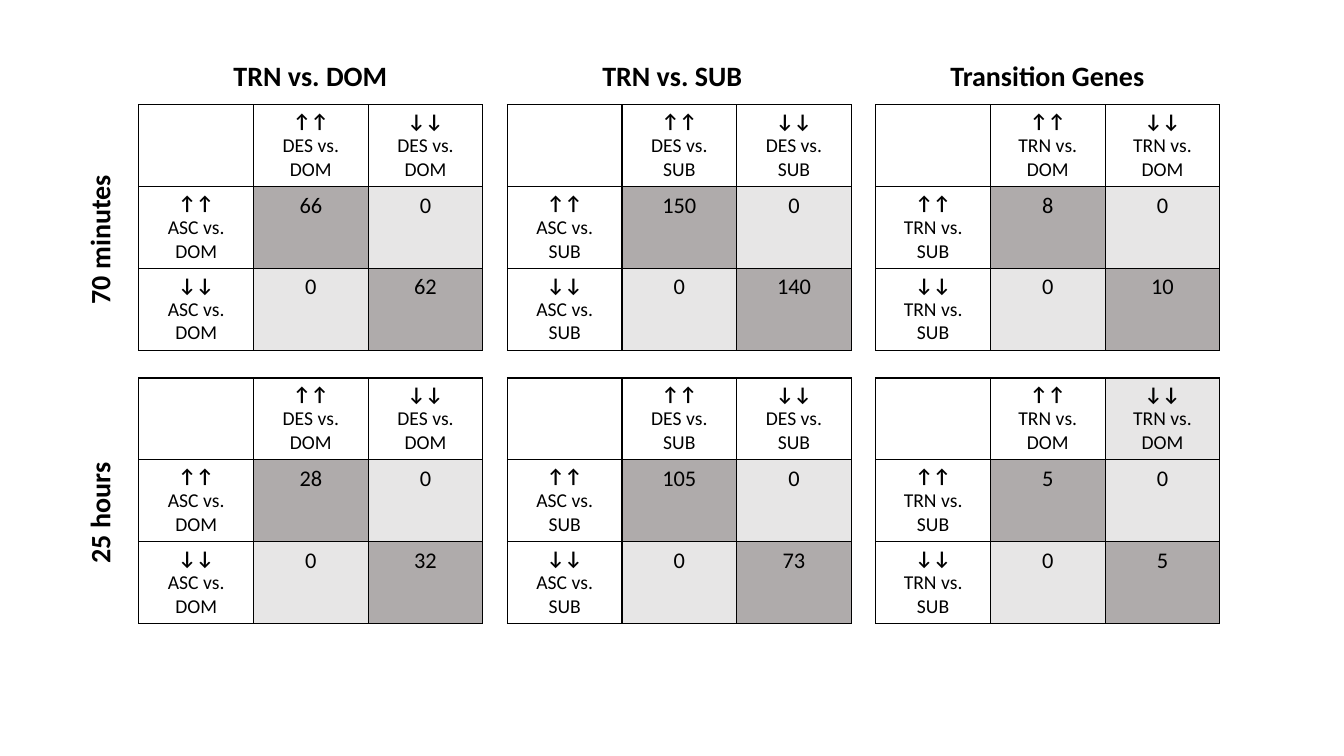
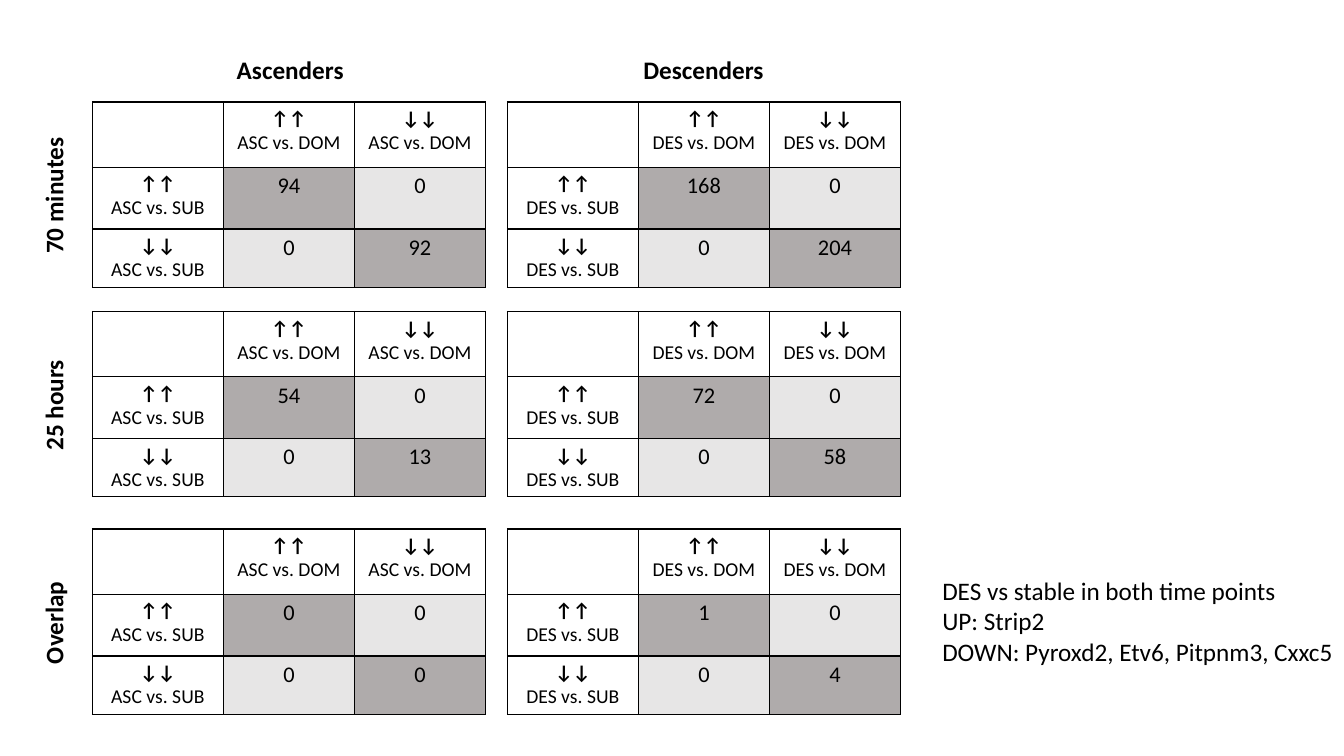
from dataclasses import dataclass

import pptx
import pptx.dml.color
import pptx.enum.text
import pptx.oxml
import pptx.oxml.ns
import pptx.util
from pptx.util import Pt

ALIGN = pptx.enum.text.PP_ALIGN

# Shared look
FONT = "Calibri"
BLACK = "000000"
WHITE = "FFFFFF"
AGREE = "AFABAB"
DISAGREE = "E7E6E6"
UP, DOWN = "↑↑", "↓↓"
HEADING_WIDTH = 188.6
ROW_LABEL_HEIGHT = 122.4


@dataclass(frozen=True)
class Comparison:
    """One column of tables: its heading and the two contrasts crossed in it."""
    heading: str
    left: float
    heading_left: float
    across: str
    down: str


@dataclass(frozen=True)
class TimePoint:
    """One row of tables: its label and an (up, down) count per comparison."""
    label: str
    top: float
    counts: tuple[tuple[int, int], ...]
    shaded_header: int | None = None


@dataclass(frozen=True)
class Layout:
    column_width: float
    row_heights: tuple[float, float, float]
    side_margin: float
    heading_top: float
    heading_size: float
    label_left: float
    label_width: float
    label_drop: float


def rgb(colour: str) -> pptx.dml.color.RGBColor:
    return pptx.dml.color.RGBColor.from_string(colour)


def write(frame, text: str, *, size: float, bold: bool = False,
          align=ALIGN.CENTER, append: bool = False) -> None:
    """Write each line of text as a paragraph, after any existing ones if append."""
    for number, line in enumerate(text.split("\n")):
        new = append or number > 0
        paragraph = frame.add_paragraph() if new else frame.paragraphs[0]
        paragraph.alignment = align
        run = paragraph.add_run()
        run.text = line
        run.font.name = FONT
        run.font.size = Pt(size)
        run.font.bold = bold
        run.font.color.rgb = rgb(BLACK)


def add_text(slide, text: str, left: float, top: float, width: float, height: float,
             *, wrap: bool = True, vertical: bool = False, **text_format) -> None:
    box = slide.shapes.add_textbox(Pt(left), Pt(top), Pt(width), Pt(height))
    box.text_frame.word_wrap = wrap
    if vertical:
        box.text_frame._txBody.bodyPr.set("vert", "vert270")
    write(box.text_frame, text, **text_format)


def style_cell(cell, fill: str, side_margin: float) -> None:
    cell.margin_left = cell.margin_right = Pt(side_margin)
    properties = cell._tc.get_or_add_tcPr()
    for side in ("lnL", "lnR", "lnT", "lnB"):
        properties.append(pptx.oxml.parse_xml(
            f'<a:{side} {pptx.oxml.ns.nsdecls("a")} w="{Pt(1)}"><a:solidFill>'
            f'<a:srgbClr val="{BLACK}"/></a:solidFill></a:{side}>'))
    cell.fill.solid()
    cell.fill.fore_color.rgb = rgb(fill)


def add_contrast_table(slide, layout: Layout, comparison: Comparison, top: float,
                       counts: tuple[int, int], shaded_header: bool) -> None:
    table = slide.shapes.add_table(
        3, 3, Pt(comparison.left), Pt(top),
        Pt(3 * layout.column_width), Pt(sum(layout.row_heights))).table
    table.first_row = table.horz_banding = False
    for column in table.columns:
        column.width = Pt(layout.column_width)
    for row, height in zip(table.rows, layout.row_heights):
        row.height = Pt(height)

    style_cell(table.cell(0, 0), WHITE, layout.side_margin)
    for i, arrows in enumerate((UP, DOWN), start=1):
        # Header and row label for this direction
        header_fill = DISAGREE if shaded_header and arrows == DOWN else WHITE
        for cell, contrast, fill in (
                (table.cell(0, i), comparison.across, header_fill),
                (table.cell(i, 0), comparison.down, WHITE)):
            style_cell(cell, fill, layout.side_margin)
            write(cell.text_frame, arrows, size=14, bold=True)
            write(cell.text_frame, contrast, size=14, append=True)
        # Counts: only genes moving the same way in both contrasts
        for j in (1, 2):
            cell = table.cell(i, j)
            style_cell(cell, AGREE if i == j else DISAGREE, layout.side_margin)
            write(cell.text_frame, str(counts[i - 1] if i == j else 0), size=16)


def add_contrast_slide(deck, layout: Layout, comparisons: tuple[Comparison, ...],
                       time_points: tuple[TimePoint, ...]):
    slide = deck.slides.add_slide(deck.slide_layouts[6])
    heading = dict(size=layout.heading_size, bold=True)
    for comparison in comparisons:
        add_text(slide, comparison.heading, comparison.heading_left, layout.heading_top,
                 HEADING_WIDTH, layout.heading_size * 1.6, **heading)
    for point in time_points:
        add_text(slide, point.label, layout.label_left, point.top + layout.label_drop,
                 layout.label_width, ROW_LABEL_HEIGHT, vertical=True, **heading)
        for index, (comparison, counts) in enumerate(zip(comparisons, point.counts)):
            add_contrast_table(slide, layout, comparison, point.top, counts,
                               index == point.shaded_header)
    return slide


def main() -> None:
    deck = pptx.Presentation()
    deck.slide_width, deck.slide_height = Pt(960), Pt(540)

    # Slide 1: transitioning animals against stable ones
    add_contrast_slide(
        deck,
        Layout(column_width=81.9, row_heights=(58.5, 58.5, 58.5), side_margin=10,
               heading_top=38.4, heading_size=20,
               label_left=55.4, label_width=39, label_drop=35.2),
        (Comparison("TRN vs. DOM", 99.2, 127.4, "DES vs. DOM", "ASC vs. DOM"),
         Comparison("TRN vs. SUB", 362.4, 385.9, "DES vs. SUB", "ASC vs. SUB"),
         Comparison("Transition Genes", 625.6, 653.8, "TRN vs. DOM", "TRN vs. SUB")),
        (TimePoint("70 minutes", 74.9, ((66, 62), (150, 140), (8, 10))),
         TimePoint("25 hours", 270, ((28, 32), (105, 73), (5, 5)), shaded_header=2)))

    # Slide 2: ascenders and descenders, with the overlap of both time points
    overlap_slide = add_contrast_slide(
        deck,
        Layout(column_width=93.6, row_heights=(46.6, 44.2, 41.6), side_margin=7.2,
               heading_top=35.3, heading_size=18,
               label_left=23.8, label_width=36, label_drop=5.8),
        (Comparison("Ascenders", 66, 113, "ASC vs. DOM", "ASC vs. SUB"),
         Comparison("Descenders", 362.4, 408.2, "DES vs. DOM", "DES vs. SUB")),
        (TimePoint("70 minutes", 72.8, ((94, 92), (168, 204))),
         TimePoint("25 hours", 222.5, ((54, 13), (72, 58))),
         TimePoint("Overlap", 377.8, ((0, 0), (1, 4)))))
    add_text(overlap_slide,
             "DES vs stable in both time points\nUP: Strip2\n"
             "DOWN: Pyroxd2, Etv6, Pitpnm3, Cxxc5",
             666, 407.5, 294, 94, wrap=False, size=18, align=ALIGN.LEFT)

    deck.save("out.pptx")


if __name__ == "__main__":
    main()
